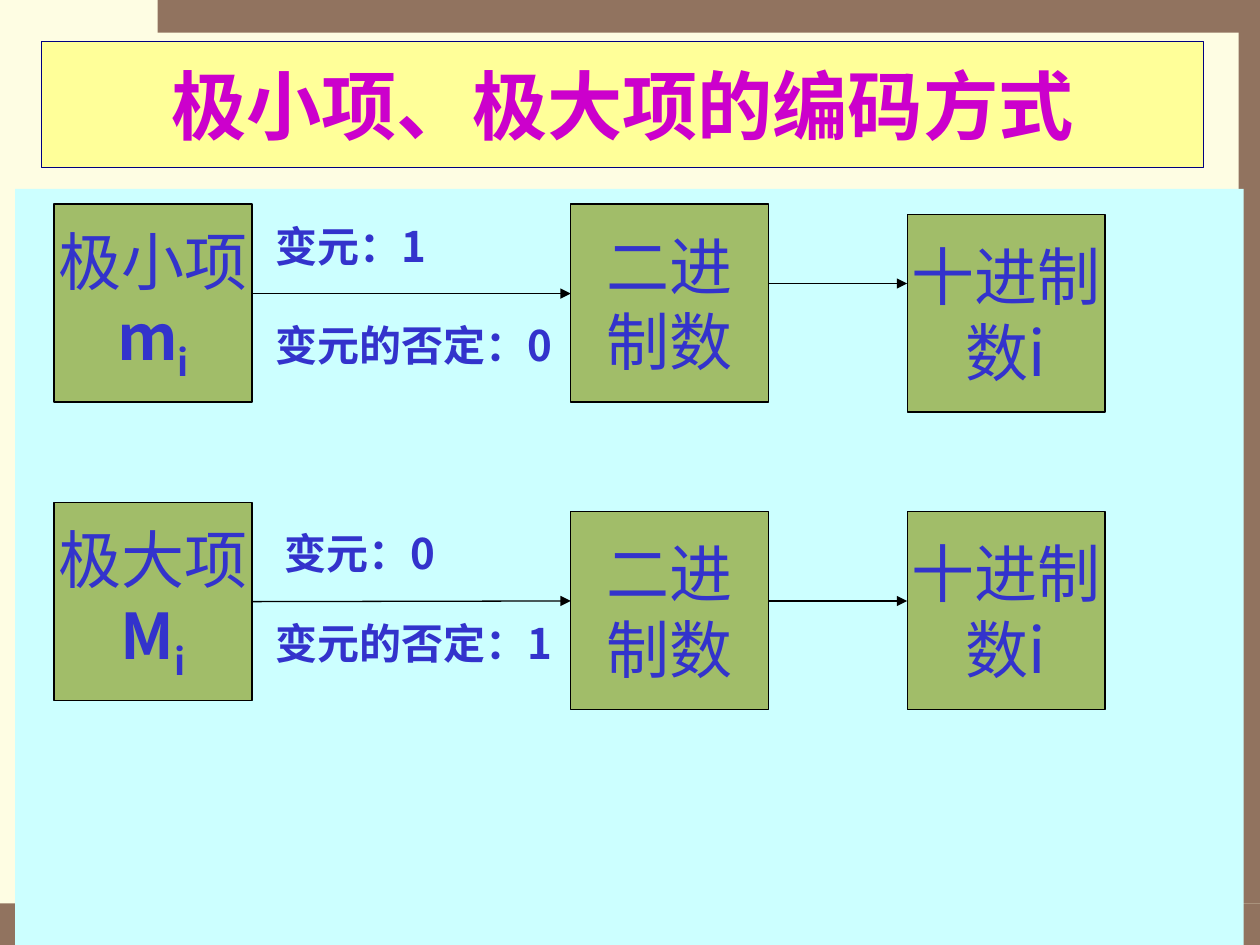
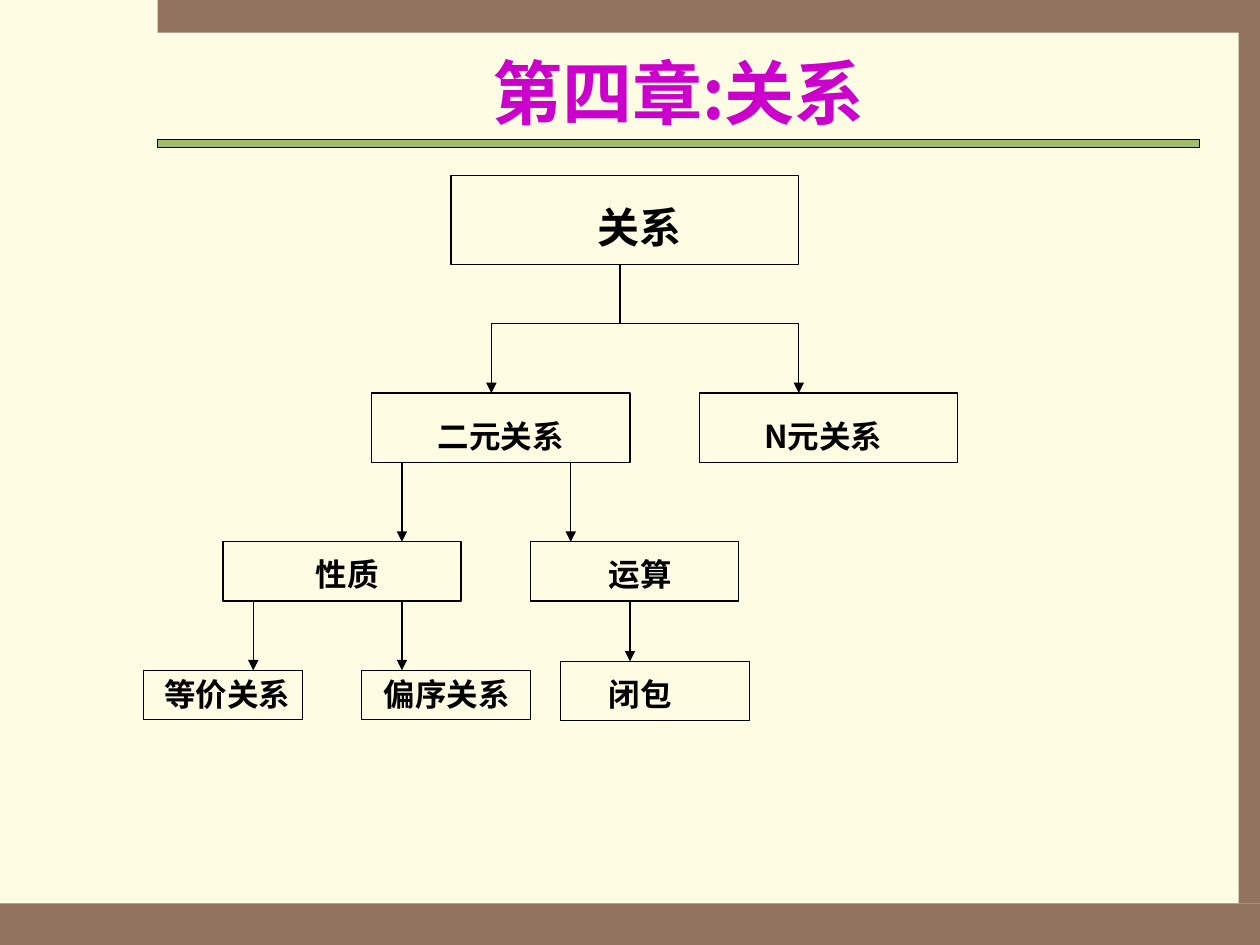
import pptx
import pptx.dml.color
import pptx.enum.shapes
import pptx.enum.text
import pptx.oxml
import pptx.oxml.ns
import pptx.util

Inches = pptx.util.Inches
Pt = pptx.util.Pt
qn = pptx.oxml.ns.qn
CENTER = pptx.enum.text.PP_ALIGN.CENTER
MIDDLE = pptx.enum.text.MSO_ANCHOR.MIDDLE
GROW = pptx.enum.text.MSO_AUTO_SIZE.SHAPE_TO_FIT_TEXT
RECTANGLE = pptx.enum.shapes.MSO_SHAPE.RECTANGLE
STRAIGHT = pptx.enum.shapes.MSO_CONNECTOR.STRAIGHT

FONT = "Noto Sans CJK SC"
COLORS = {
    "paper": "FEFDE3", "band": "91735F", "title": "CC00CC", "title_fill": "FFFF99",
    "title_line": "000080", "panel": "CCFFFF", "green": "A1BD69", "blue": "3333CC",
    "black": "000000",
}
STYLES = {
    "title": {"color": "title", "font": {"size": Pt(40), "bold": True},
              "paragraph": {"alignment": CENTER},
              "frame": {"word_wrap": True, "vertical_anchor": MIDDLE}},
    "big_title": {"color": "title", "font": {"size": Pt(43), "bold": True},
                  "paragraph": {"alignment": CENTER},
                  "frame": {"word_wrap": True, "vertical_anchor": MIDDLE}},
    "term": {"color": "blue", "font": {"size": Pt(36)},
             "paragraph": {"alignment": CENTER},
             "frame": {"word_wrap": False, "vertical_anchor": MIDDLE}},
    "rule": {"color": "blue", "font": {"size": Pt(24), "bold": True},
             "paragraph": {"space_before": Pt(15)},
             "frame": {"word_wrap": True, "auto_size": GROW}},
    "root": {"color": "black", "font": {"size": Pt(24), "bold": True},
             "paragraph": {"alignment": CENTER, "line_spacing": 1.2, "space_before": Pt(15)},
             "frame": {"word_wrap": True, "auto_size": GROW}},
    "node": {"color": "black", "font": {"size": Pt(18), "bold": True},
             "paragraph": {"alignment": CENTER, "line_spacing": 1.2, "space_before": Pt(11.2)},
             "frame": {"word_wrap": True, "auto_size": GROW}},
}


def add_box(slide, at, fill=None, line=None, lines=(), style=None):
    place = [Inches(value) for value in at]
    if fill or line:
        shape = slide.shapes.add_shape(RECTANGLE, *place)
        shape.shadow.inherit = False
    else:
        shape = slide.shapes.add_textbox(*place)
    if fill:
        shape.fill.solid()
        shape.fill.fore_color.rgb = pptx.dml.color.RGBColor.from_string(COLORS[fill])
    else:
        shape.fill.background()
    if line:
        shape.line.color.rgb = pptx.dml.color.RGBColor.from_string(COLORS[line])
        shape.line.width = Pt(0.75)
    else:
        shape.line.fill.background()
    if not lines:
        return shape
    look = STYLES[style]
    frame = shape.text_frame
    for name, value in look["frame"].items():
        setattr(frame, name, value)
    for index, runs in enumerate(lines):
        paragraph = frame.add_paragraph() if index else frame.paragraphs[0]
        for name, value in look["paragraph"].items():
            setattr(paragraph, name, value)
        for text, changes in runs:
            run = paragraph.add_run()
            run.text = text
            run.font.color.rgb = pptx.dml.color.RGBColor.from_string(COLORS[look["color"]])
            for name, value in {"name": FONT, **look["font"], **changes}.items():
                setattr(run.font, name, value)
    for properties in shape.element.iter(qn("a:rPr")):
        properties.append(properties.makeelement(qn("a:ea"), {"typeface": FONT}))
    return shape


def add_line(slide, start, end, arrow=True):
    points = [Inches(value) for value in (*start, *end)]
    connector = slide.shapes.add_connector(STRAIGHT, *points)
    connector.line.color.rgb = pptx.dml.color.RGBColor.from_string(COLORS["black"])
    connector.line.width = Pt(0.75)
    properties = connector.element.spPr
    outline = properties.find(qn("a:ln"))
    if arrow:
        outline.append(outline.makeelement(qn("a:tailEnd"), {"type": "triangle"}))
    properties.append(properties.makeelement(qn("a:effectLst"), {}))
    return connector


presentation = pptx.Presentation()
presentation.slide_width = Inches(10)
presentation.slide_height = Inches(7.5)
background = presentation.slide_master.background.fill
background.solid()
background.fore_color.rgb = pptx.dml.color.RGBColor.from_string(COLORS["paper"])

slides = []
for number in range(2):
    slide = presentation.slides.add_slide(presentation.slide_layouts[6])
    for band in [(0, 7.17, 10, 0.33), (1.25, 0, 8.75, 0.26), (9.83, 0.25, 0.17, 6.92)]:
        add_box(slide, band, fill="band")
    slides.append(slide)
coding_slide, relation_slide = slides

add_box(coding_slide, (0.33, 0.33, 9.22, 1), "title_fill", "title_line",
        [[("极小项、极大项的编码方式", {})]], "big_title")
add_box(coding_slide, (0.12, 1.5, 9.75, 6), fill="panel")

BOX = 1.57
LEFTS = [0.43, 4.53, 7.2]
coding_rows = [
    {"term": "极小项", "symbol": "m", "tops": [1.62, 1.62, 1.7], "arrows": [2.33, 2.25],
     "rules": [("变元：1", (2.09, 1.7, 2.13, 0.5)), ("变元的否定：0", (2.09, 2.49, 2.6, 0.5))]},
    {"term": "极大项", "symbol": "M", "tops": [3.99, 4.06, 4.06], "arrows": [4.77, 4.77],
     "rules": [("变元：0", (2.16, 4.14, 2.12, 0.5)), ("变元的否定：1", (2.09, 4.85, 2.6, 0.5))]},
]
for row in coding_rows:
    term_lines = [
        [[(row["term"], {})], [(row["symbol"], {"bold": True}), ("i", {"bold": True})]],
        [[("二进", {})], [("制数", {})]],
        [[("十进制", {})], [("数i", {})]],
    ]
    boxes = [add_box(coding_slide, (left, top, BOX, BOX), "green", "black", lines, "term")
             for left, top, lines in zip(LEFTS, row["tops"], term_lines)]
    subscript = boxes[0].text_frame.paragraphs[1].runs[1].font
    list(boxes[0].element.iter(qn("a:rPr")))[-1].set("baseline", "-25000")
    for index, height in enumerate(row["arrows"]):
        arrow = add_line(coding_slide, (LEFTS[index] + BOX, height), (LEFTS[index + 1], height))
        middle = row["tops"][index] + BOX / 2
        if abs(middle - height) < 0.02:
            arrow.begin_connect(boxes[index], 3)
    for text, at in row["rules"]:
        add_box(coding_slide, at, lines=[[(text, {})]], style="rule")

add_box(relation_slide, (1.25, 1.11, 8.27, 0.06), "green", "black")
add_box(relation_slide, (1.25, 0.33, 8.27, 0.79), lines=[[("第四章:关系", {})]], style="title")

relation_nodes = [
    ("关系", "root", (3.58, 1.39, 2.76, 0.71), (4.13, 1.47, 1.89, 0.58)),
    ("二元关系", "node", (2.95, 3.12, 2.05, 0.55), (2.95, 3.2, 2.05, 0.46)),
    ("N元关系", "node", (5.55, 3.12, 2.05, 0.55), (5.55, 3.2, 1.97, 0.46)),
    ("性质", "node", (1.77, 4.3, 1.89, 0.47), (2.01, 4.3, 1.49, 0.46)),
    ("运算", "node", (4.21, 4.3, 1.65, 0.47), (4.37, 4.3, 1.42, 0.46)),
    ("等价关系", "node", (1.14, 5.32, 1.26, 0.39), (1.06, 5.25, 1.49, 0.46)),
    ("偏序关系", "node", (2.87, 5.32, 1.34, 0.39), (2.8, 5.25, 1.49, 0.46)),
    ("闭包", "node", (4.45, 5.25, 1.5, 0.47), (4.37, 5.25, 1.42, 0.46)),
]
for text, style, frame_at, label_at in relation_nodes:
    add_box(relation_slide, frame_at, line="black")
    add_box(relation_slide, label_at, lines=[[(text, {})]], style=style)

add_line(relation_slide, (4.92, 2.1), (4.92, 2.57), arrow=False)
add_line(relation_slide, (3.9, 2.57), (6.34, 2.57), arrow=False)
branches = [(3.9, 2.57, 3.12), (6.34, 2.57, 3.12), (3.19, 3.67, 4.3), (4.53, 3.67, 4.3),
            (2.01, 4.77, 5.32), (3.19, 4.77, 5.32), (5, 4.77, 5.25)]
for across, top, bottom in branches:
    add_line(relation_slide, (across, top), (across, bottom))

presentation.save("out.pptx")
